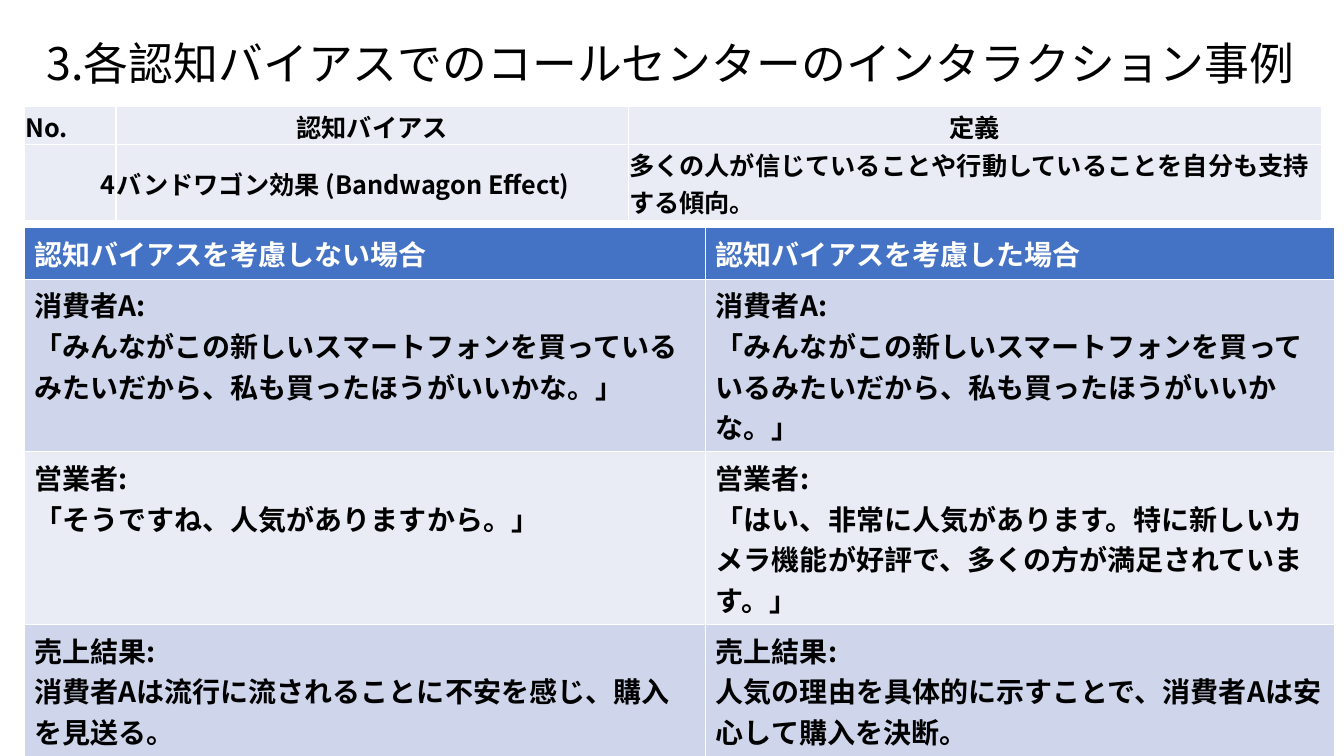
from lxml.etree import SubElement
from pptx import Presentation
from pptx.dml.color import RGBColor
from pptx.enum.text import MSO_ANCHOR as Anchor, PP_ALIGN as Align
from pptx.oxml.ns import qn
from pptx.util import Inches, Pt

FONT = "Noto Sans CJK JP"
HEX = {"black": "000000", "white": "FFFFFF", "head": "4472C4",
       "dark": "CFD5EA", "light": "E9EBF5"}

TITLE = "3.各認知バイアスでのコールセンターのインタラクション事例"
BIAS = [
    ("No.", "認知バイアス", "定義"),
    ("4", "バンドワゴン効果 (Bandwagon Effect)",
     "多くの人が信じていることや行動していることを自分も支持する傾向。"),
]
BIAS_ALIGN = [(Align.LEFT, Align.CENTER, Align.CENTER),
              (Align.RIGHT, Align.LEFT, Align.LEFT)]
ASK = "消費者A:\n「みんながこの新しいスマートフォンを買っているみたいだから、私も買ったほうがいいかな。」"
CASES = [
    ("認知バイアスを考慮しない場合", "認知バイアスを考慮した場合"),
    (ASK, ASK),
    ("営業者:\n「そうですね、人気がありますから。」",
     "営業者:\n「はい、非常に人気があります。特に新しいカメラ機能が好評で、多くの方が満足されています。」"),
    ("売上結果:\n消費者Aは流行に流されることに不安を感じ、購入を見送る。",
     "売上結果:\n人気の理由を具体的に示すことで、消費者Aは安心して購入を決断。"),
]


def style(para, size, color, bold):
    font = para.font
    font.name, font.size, font.bold = FONT, Pt(size), bold
    font.color.rgb = RGBColor.from_string(HEX[color])
    props = para._p.get_or_add_pPr().get_or_add_defRPr()
    SubElement(props, qn("a:ea")).set("typeface", FONT)


def add_grid(slide, top, cols, rows, data, size, fills, head):
    """Add a table whose row fills are colour names; head marks a header row."""
    table = slide.shapes.add_table(
        len(rows), len(cols), Inches(0.24), Inches(top),
        Inches(sum(cols)), Inches(sum(rows))).table
    table.first_row = head
    table.horz_banding = head
    for col, width in zip(table.columns, cols):
        col.width = Inches(width)
    for r, height in enumerate(rows):
        table.rows[r].height = Inches(height)
        for c, text in enumerate(data[r]):
            cell = table.cell(r, c)
            cell.text = text
            cell.fill.solid()
            cell.fill.fore_color.rgb = RGBColor.from_string(HEX[fills[r]])
            color = "white" if fills[r] == "head" else "black"
            for para in cell.text_frame.paragraphs:
                style(para, size, color, True)
    return table


def main():
    deck = Presentation()
    deck.slide_width, deck.slide_height = Inches(13.33), Inches(7.5)
    slide = deck.slides.add_slide(deck.slide_layouts[5])

    title = slide.shapes.title
    title.left, title.top = Inches(0.22), Inches(0.24)
    title.width, title.height = Inches(12.87), Inches(0.82)
    title.text_frame.text = TITLE
    title.text_frame.vertical_anchor = Anchor.MIDDLE
    para = title.text_frame.paragraphs[0]
    para.alignment, para.line_spacing = Align.CENTER, 0.9
    style(para, 32, "black", False)

    bias = add_grid(slide, 1.06, [0.91, 5.08, 6.88], [0.24, 0.76],
                    BIAS, 18, ["light"] * 2, False)
    for r, aligns in enumerate(BIAS_ALIGN):
        for c, align in enumerate(aligns):
            cell = bias.cell(r, c)
            cell.vertical_anchor = Anchor.MIDDLE
            cell.margin_left = cell.margin_right = cell.margin_top = Inches(0.01)
            cell.margin_bottom = 0
            cell.text_frame.paragraphs[0].alignment = align

    add_grid(slide, 2.26, [6.76, 6.24], [0.51, 1.64, 1.51, 1.26],
             CASES, 20, ["head", "dark", "light", "dark"], True)
    deck.save("out.pptx")


if __name__ == "__main__":
    main()
